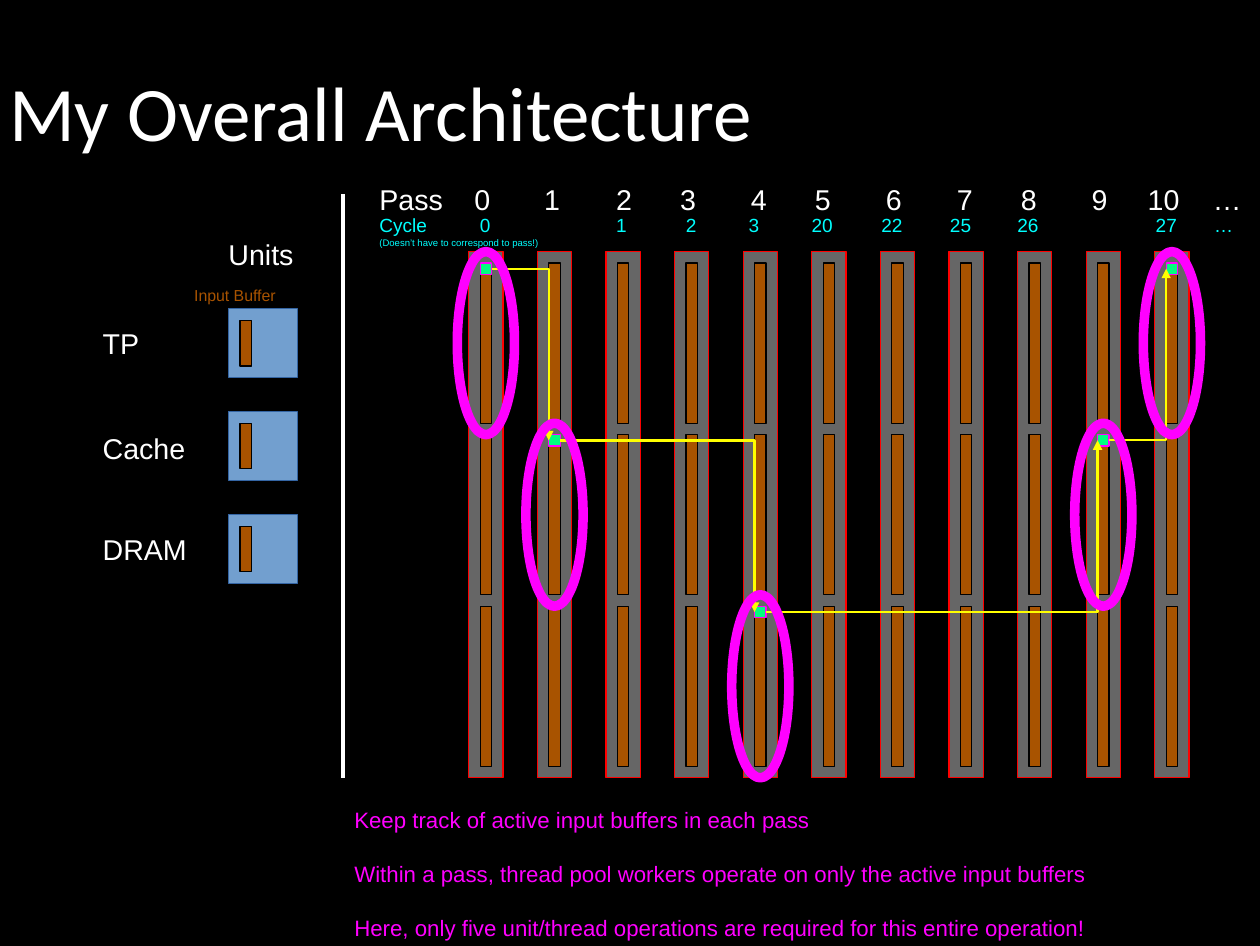
from pptx import Presentation
from pptx.dml.color import RGBColor
from pptx.enum import shapes, text
from pptx.oxml.ns import qn
from pptx.util import Inches, Pt
from lxml import etree

TITLE = "My Overall Architecture"
UNITS = [("TP", 2.8), ("Cache", 3.72), ("DRAM", 4.6)]  # label, top
# label, distance from the start of the line
PASSES = [("0", 0.83), ("1", 1.44), ("2", 2.07), ("3", 2.63), ("4", 3.25), ("5", 3.81),
          ("6", 4.43), ("7", 5.05), ("8", 5.61), ("9", 6.23), ("10", 6.72), ("…", 7.29)]
CYCLES = [("0", 0.88), ("1", 2.07), ("2", 2.68), ("3", 3.23), ("20", 3.78), ("22", 4.39),
          ("25", 4.99), ("26", 5.58), ("27", 6.79), ("…", 7.3)]
CYCLE_NOTE = "(Doesn’t have to correspond to pass!)"
ACTIVE = [(0, 0), (1, 1), (4, 2), (9, 1), (10, 0)]  # pass, unit
NOTES = ["Keep track of active input buffers in each pass",
         "Within a pass, thread pool workers operate on only the active input buffers",
         "Here, only five unit/thread operations are required for this entire operation!"]

WHITE, BLACK, BROWN, GREY = "FFFFFF", "000000", "A85300", "666666"
MAGENTA, CYAN, YELLOW, GREEN, RED = "FF00FF", "00FFFF", "FFFF00", "00FF7F", "FF0000"
BLUE, DARK_BLUE = "729FCF", "3465A4"
RECT, OVAL = shapes.MSO_SHAPE.RECTANGLE, shapes.MSO_SHAPE.OVAL

prs = Presentation()
prs.slide_width, prs.slide_height = Inches(11.02), Inches(8.27)
s = prs.slides.add_slide(prs.slide_layouts[6])


def rgb(color):
    return RGBColor.from_string(color)


def box(kind, x, y, w, h, fill, line, weight=0):
    sp = s.shapes.add_shape(kind, Inches(x), Inches(y), Inches(w), Inches(h))
    sp.shadow.inherit = False
    if fill:
        sp.fill.solid()
        sp.fill.fore_color.rgb = rgb(fill)
    else:
        sp.fill.background()
    sp.line.color.rgb = rgb(line)
    sp.line.width = Pt(weight)


def label(x, y, w, h, lines, size, color, font="Arial"):
    tf = s.shapes.add_textbox(Inches(x), Inches(y), Inches(w), Inches(h)).text_frame
    tf.word_wrap = True
    tf.text = "\n".join(lines)
    for p in tf.paragraphs:
        for r in p.runs:
            r.font.name, r.font.size = font, Pt(size)
            r.font.color.rgb = rgb(color)
    return tf


def tabbed(y, head, stops, size, color, *more):
    """Write a heading and its values, each value at its own tab stop."""
    line = "\t".join([head] + [value for value, _ in stops])
    tf = label(3.22, y, 7.8, 0.38, [line, *more], size, color)
    tabs = etree.SubElement(tf.paragraphs[0]._p.get_or_add_pPr(), qn("a:tabLst"))
    for _, offset in stops:
        etree.SubElement(tabs, qn("a:tab"), pos=str(Inches(offset)), algn="l")
    return tf


def connector(kind, x1, y1, x2, y2, color, weight):
    c = s.shapes.add_connector(kind, Inches(x1), Inches(y1), Inches(x2), Inches(y2))
    c.line.color.rgb = rgb(color)
    c.line.width = Pt(weight)
    etree.SubElement(c._element.spPr, qn("a:effectLst"))
    return c


def slot(number, unit):
    """Left and top of a unit's input buffer in a pass."""
    return 4.2 + 0.6 * number, 2.3 + 1.5 * unit


s.background.fill.solid()
s.background.fill.fore_color.rgb = rgb(BLACK)

tf = label(0, 0.33, 9.92, 1.38, [TITLE], 48.5, WHITE, "Calibri")
tf.vertical_anchor = text.MSO_ANCHOR.MIDDLE
tf.margin_left = Inches(0.08)
tf.paragraphs[0].line_spacing = 0.9

label(1.9, 2.02, 0.8, 0.38, ["Units"], 18, WHITE)
label(1.6, 2.45, 1, 0.25, ["Input Buffer"], 10, BROWN)
for i, (unit, top) in enumerate(UNITS):
    label(0.8, top, 1, 0.38, [unit], 18, WHITE)
    box(RECT, 2, 2.7 + 0.9 * i, 0.6, 0.6, BLUE, DARK_BLUE)
    box(RECT, 2.1, 2.8 + 0.9 * i, 0.1, 0.4, BROWN, BLACK)
connector(shapes.MSO_CONNECTOR.STRAIGHT, 3, 1.7, 3, 6.8, WHITE, 0)

tabbed(1.54, "Pass", PASSES, 18, WHITE)
for number in range(11):
    box(RECT, slot(number, 0)[0] - 0.1, 2.2, 0.3, 4.6, GREY, RED)
    for unit in range(len(UNITS)):
        box(RECT, *slot(number, unit), 0.1, 1.4, BROWN, BLACK)

for place in ACTIVE:
    box(RECT, *slot(*place), 0.1, 0.1, GREEN, MAGENTA)
for start, end in zip(ACTIVE, ACTIVE[1:]):
    (x1, y1), (x2, y2) = slot(*start), slot(*end)
    c = connector(shapes.MSO_CONNECTOR.ELBOW, x1 + 0.1, y1 + 0.05, x2, y2 + 0.05, YELLOW, 1.5)
    c._element.spPr.find(qn("a:prstGeom")).set("prst", "bentConnector2")
    etree.SubElement(c.line._get_or_add_ln(), qn("a:tailEnd"), type="triangle")

tf = tabbed(1.82, "Cycle", CYCLES, 12, CYAN, CYCLE_NOTE)
tf.paragraphs[1].runs[0].font.size = Pt(6)

for place in ACTIVE:
    x, y = slot(*place)
    box(OVAL, x - 0.2, y - 0.1, 0.5, 1.6, None, MAGENTA, 6)

tf = label(3, 7, 7.82, 1.19, NOTES, 14, MAGENTA)
for p in tf.paragraphs[1:]:
    p.space_before = Pt(17)

prs.save("out.pptx")
